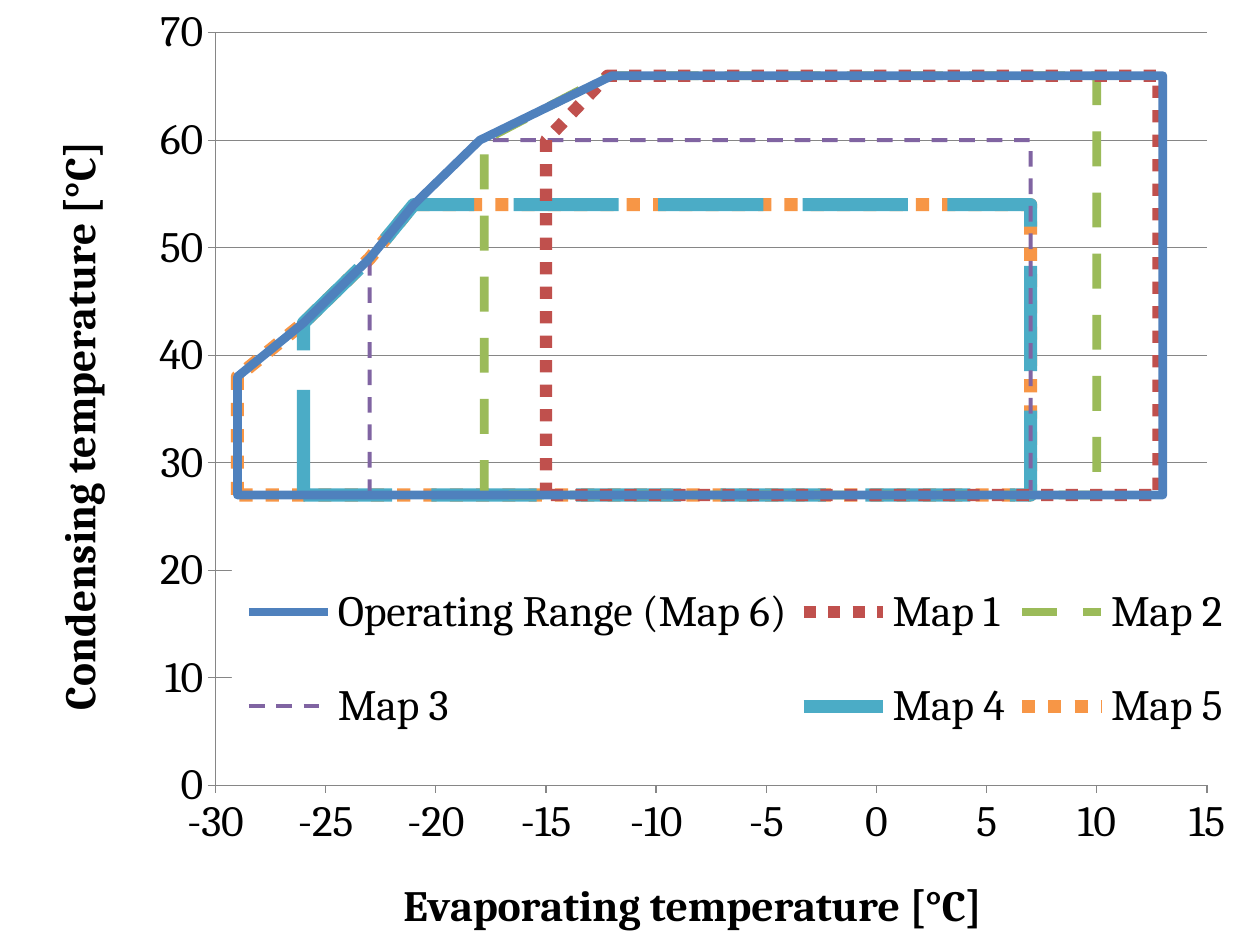
from lxml import etree
from pptx import Presentation
from pptx.chart.data import XyChartData
from pptx.dml.color import RGBColor
from pptx.enum.chart import XL_AXIS_CROSSES as Crosses, XL_CHART_TYPE as ChartType
from pptx.enum.chart import XL_LEGEND_POSITION as LegendPosition, XL_TICK_LABEL_POSITION as LabelPosition
from pptx.enum.chart import XL_TICK_MARK as TickMark
from pptx.enum.dml import MSO_LINE as Dash
from pptx.oxml import parse_xml
from pptx.oxml.ns import nsdecls, qn
from pptx.util import Cm, Pt

COLORS = {
    "text": "000000", "grid": "868686", "legend": "FFFFFF",
    "range": "4F81BD", "map1": "C0504D", "map2": "9BBB59",
    "map3": "8064A2", "map4": "4BACC6", "map5": "F79646",
}
FONT = "Cambria"
SIZE = Pt(25)

COLD_EDGE = [(-29, 27), (-29, 32), (-29, 38), (-26, 43), (-23, 49), (-21, 54)]
FALLING = [66, 60, 54, 49, 43, 38, 32, 27]
WARM = [66, 60, 54, 49, 43, 27]
MILD = [54, 49, 43, 38, 32, 27]
RISING = [27, 43, 49, 54, 60]

envelopes = [
    ("Operating Range (Map 6)", "range", 5, Dash.SOLID,
     COLD_EDGE + [(-18, 60), (-12, 66)] + [(13, c) for c in FALLING]),
    ("Map 1", "map1", 7, Dash.ROUND_DOT,
     [(-15, c) for c in RISING] + [(-12.2, 66)] + [(12.8, c) for c in WARM]),
    ("Map 2", "map2", 5, Dash.DASH,
     [(-17.8, c) for c in RISING] + [(-12.2, 66)] + [(10, c) for c in WARM]),
    ("Map 3", "map3", 2.25, Dash.DASH,
     [(-23, c) for c in (27, 38, 43, 49)] + [(-21, 54), (-18, 60)]
     + [(7, c) for c in (60, 54, 49, 43, 38, 27)]),
    ("Map 4", "map4", 7.5, Dash.LONG_DASH,
     [(-26, c) for c in (27, 32, 38)] + COLD_EDGE[3:] + [(7, c) for c in MILD]),
    ("Map 5", "map5", 7.5, Dash.ROUND_DOT, COLD_EDGE + [(7, c) for c in MILD]),
]


def color(name):
    return RGBColor.from_string(COLORS[name])


def place(element, before, **values):
    for old in element.findall(qn("c:layout")):
        element.remove(old)
    layout = parse_xml(f"<c:layout {nsdecls('c')}><c:manualLayout/></c:layout>")
    for tag, value in values.items():
        etree.SubElement(layout[0], qn(f"c:{tag}")).set("val", str(value))
    element.find(qn(before)).addprevious(layout)


deck = Presentation()
deck.slide_width, deck.slide_height = Cm(25.4), Cm(19.05)
slide = deck.slides.add_slide(deck.slide_layouts[6])

data = XyChartData()
for name, tint, width, dash, corners in envelopes:
    envelope = data.add_series(name)
    for evaporating, condensing in corners + corners[:1]:
        envelope.add_data_point(evaporating, condensing)

chart = slide.shapes.add_chart(
    ChartType.XY_SCATTER_LINES_NO_MARKERS, Cm(0.1), 0, Cm(25.4), Cm(19.05), data).chart
chart.has_title = False
chart.font.name, chart.font.size = FONT, SIZE
chart.font.color.rgb = color("text")

for series, (name, tint, width, dash, corners) in zip(chart.plots[0].series, envelopes):
    series.smooth = False
    series.format.line.color.rgb = color(tint)
    series.format.line.width = Pt(width)
    series.format.line.dash_style = dash
    if dash == Dash.ROUND_DOT:
        series.format.line._ln.find(qn("a:prstDash")).set("val", "sysDot")

axes = [
    (chart.category_axis, "Evaporating temperature [°C]", -30, 15, 5, 0.31, 0.93),
    (chart.value_axis, "Condensing temperature [°C]", 0, 70, 10, 0.03, 0.15),
]
for axis, caption, low, high, step, x, y in axes:
    axis.minimum_scale, axis.maximum_scale, axis.major_unit = low, high, step
    axis.major_tick_mark, axis.minor_tick_mark = TickMark.OUTSIDE, TickMark.NONE
    axis.tick_label_position = LabelPosition.LOW
    axis.crosses = Crosses.MINIMUM
    axis.tick_labels.number_format = "General"
    axis.tick_labels.number_format_is_linked = False
    axis.has_major_gridlines = axis is chart.value_axis
    axis.format.line.color.rgb = color("grid")
    axis.axis_title.text_frame.text = caption
    font = axis.axis_title.text_frame.paragraphs[0].runs[0].font
    font.name, font.size, font.bold = FONT, SIZE, True
    font.color.rgb = color("text")
    place(axis.axis_title._element, "c:overlay", xMode="edge", yMode="edge", x=x, y=y)
chart.value_axis.has_major_gridlines = True
chart.value_axis.major_gridlines.format.line.color.rgb = color("grid")
chart.value_axis.axis_title.text_frame._txBody.bodyPr.set("rot", "-5400000")

chart.has_legend = True
legend = chart.legend
legend.position = LegendPosition.RIGHT
legend.include_in_layout = True
legend.font.name, legend.font.size = FONT, SIZE
legend.font.color.rgb = color("text")
place(legend._element, "c:overlay", xMode="edge", yMode="edge", x=0.18, y=0.58, w=0.8, h=0.25)
legend._element.find(qn("c:overlay")).addnext(parse_xml(
    f"<c:spPr {nsdecls('c', 'a')}><a:solidFill><a:srgbClr val=\"{COLORS['legend']}\"/></a:solidFill></c:spPr>"))

place(chart._chartSpace.chart.plotArea, "c:scatterChart", layoutTarget="inner",
      xMode="edge", yMode="edge", x=0.167, y=0.035, w=0.787, h=0.805)

deck.save("out.pptx")
